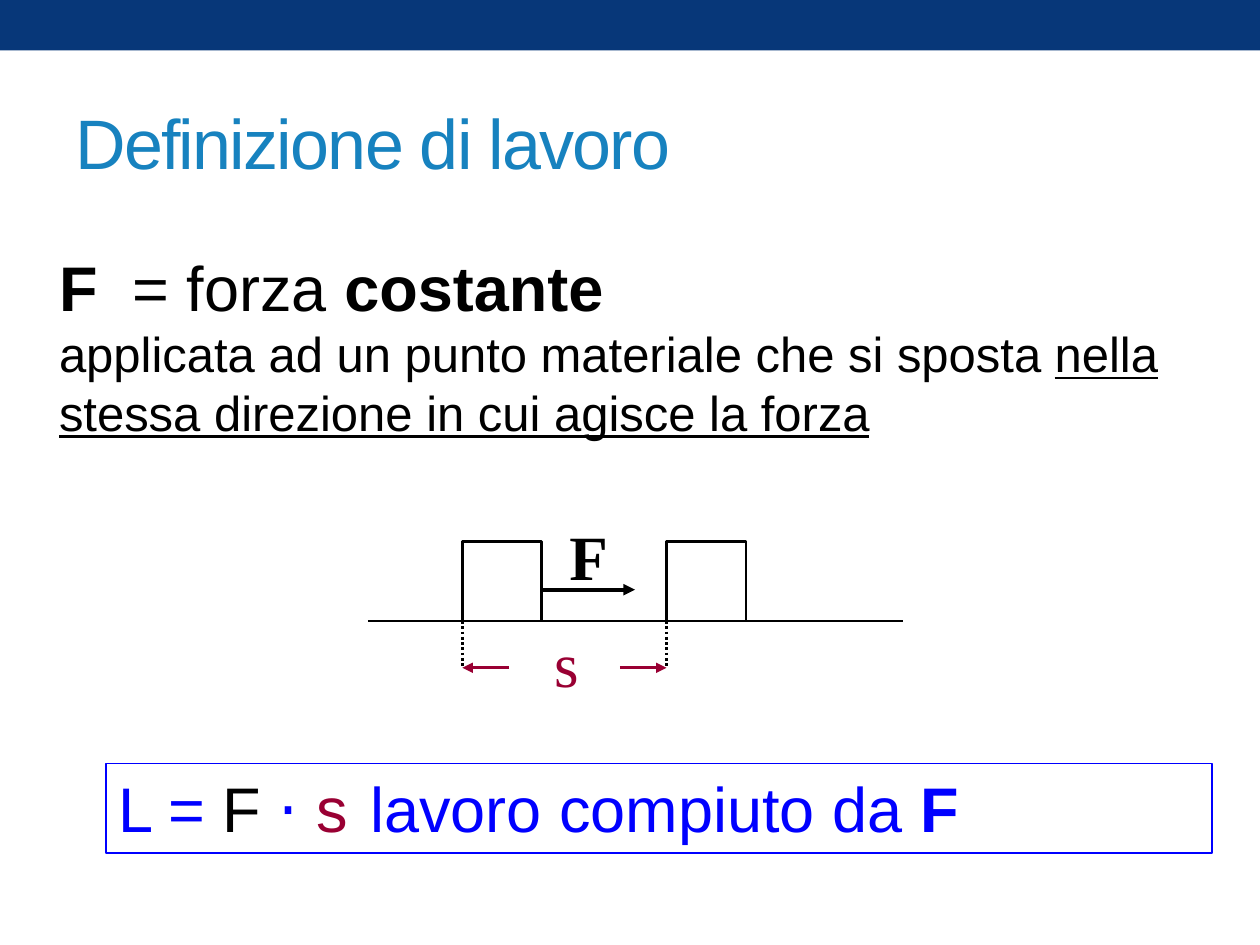
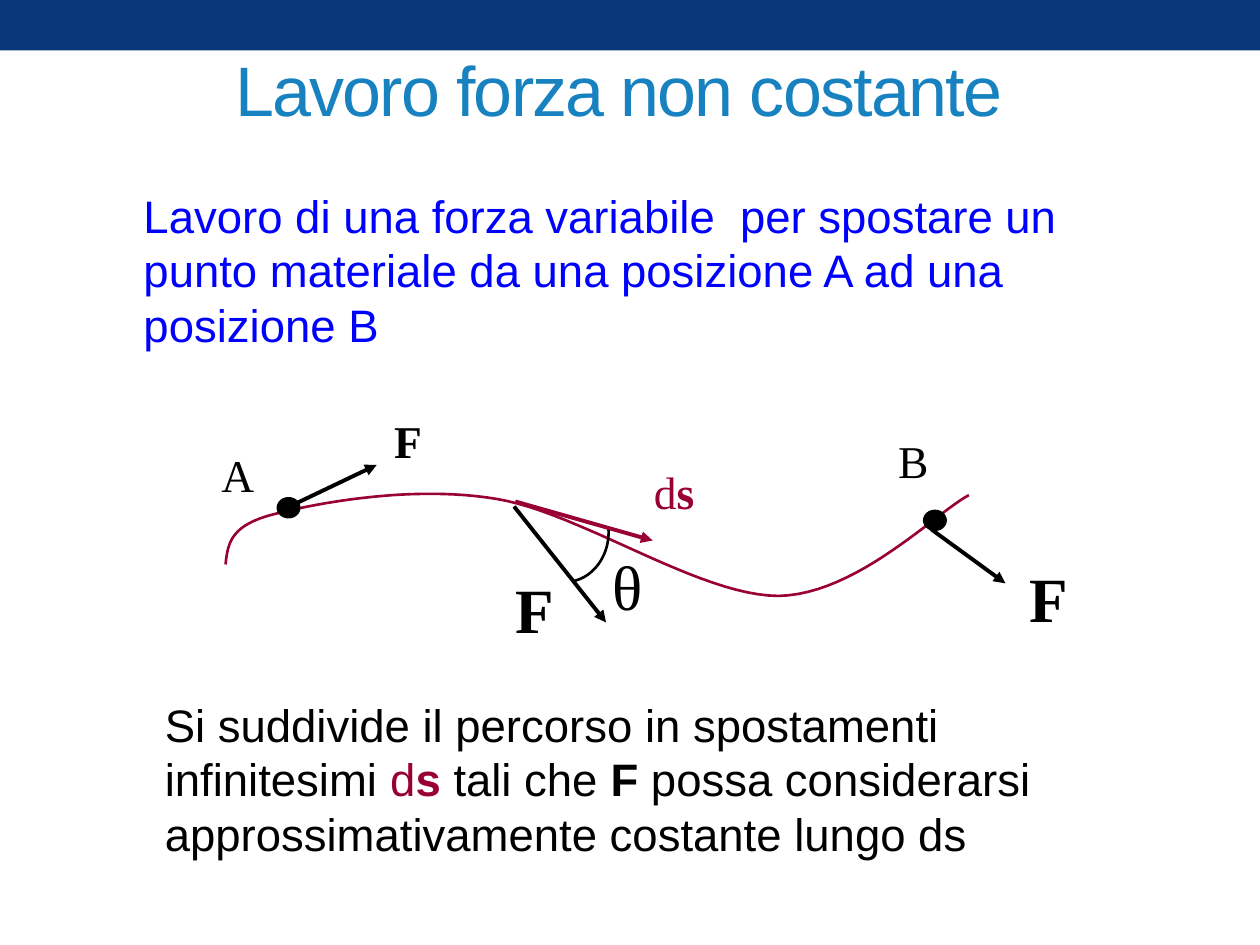
from dataclasses import dataclass
from typing import NamedTuple

from lxml import etree
from pptx import Presentation
from pptx.dml.color import RGBColor
from pptx.enum import dml, shapes, text
from pptx.oxml.ns import qn
from pptx.util import Emu, Pt

PX = 9144  # EMU in one px, 100 px to the inch


@dataclass(frozen=True)
class Theme:
    sans: str = "Arial"
    serif: str = "Times New Roman"
    white: str = "FFFFFF"
    black: str = "000000"
    band: str = "073779"
    title: str = "1782BF"
    blue: str = "0000FF"
    red: str = "990033"
    title_size: int = 40
    large: int = 36
    medium: int = 28
    small: int = 26
    hairline: float = 0.75
    thin: float = 1.5
    thick: float = 2.25


THEME = Theme()


class Point(NamedTuple):
    x: int
    y: int


class Frame(NamedTuple):
    left: int
    top: int
    width: int
    height: int


class Span(NamedTuple):
    words: str
    color: str = THEME.black
    bold: bool = False
    underline: bool = False


@dataclass(frozen=True)
class Line:
    spans: list[Span]
    size: int
    font: str = THEME.sans
    indent: int = 0
    tab: int = 0
    spacing: int = 0
    align: text.PP_ALIGN = text.PP_ALIGN.LEFT


class Label(NamedTuple):
    frame: Frame
    spans: list[Span]
    size: int


class Stroke(NamedTuple):
    start: Point
    end: Point
    color: str = THEME.black
    width: float = THEME.thin
    arrow: bool = False
    dotted: bool = False


# ---- Basic drawing ----

def emu(px: float) -> Emu:
    return Emu(round(px * PX))


def rgb(color: str) -> RGBColor:
    return RGBColor.from_string(color)


def fill_text(box, lines: list[Line], anchor=text.MSO_ANCHOR.TOP) -> None:
    frame = box.text_frame
    frame.word_wrap = True
    frame.vertical_anchor = anchor
    for index, line in enumerate(lines):
        para = frame.paragraphs[0] if index == 0 else frame.add_paragraph()
        para.alignment = line.align
        properties = para._p.get_or_add_pPr()
        properties.set("marL", str(emu(line.indent)))
        properties.set("indent", "0")
        if line.tab:
            stops = etree.SubElement(properties, qn("a:tabLst"))
            etree.SubElement(stops, qn("a:tab"), pos=str(emu(line.tab)), algn="l")
        for span in line.spans:
            run = para.add_run()
            run.text = span.words
            run.font.name = line.font
            run.font.size = Pt(line.size)
            run.font.bold = span.bold
            run.font.underline = span.underline
            run.font.color.rgb = rgb(span.color)
            if line.spacing:
                run._r.get_or_add_rPr().set("spc", str(line.spacing))


def add_text(page, frame: Frame, lines: list[Line], anchor=text.MSO_ANCHOR.TOP) -> None:
    box = page.shapes.add_textbox(*map(emu, frame))
    fill_text(box, lines, anchor)


def add_label(page, label: Label) -> None:
    add_text(page, label.frame, [Line(label.spans, label.size, THEME.serif)])


def style(shape, fill: str | None, outline: str | None, width: float = THEME.thin) -> None:
    shape.shadow.inherit = False
    if fill:
        shape.fill.solid()
        shape.fill.fore_color.rgb = rgb(fill)
    else:
        shape.fill.background()
    if outline:
        shape.line.color.rgb = rgb(outline)
        shape.line.width = Pt(width)
    else:
        shape.line.fill.background()


def add_shape(page, kind, frame: Frame, fill: str | None, outline: str | None,
              width: float = THEME.thin):
    shape = page.shapes.add_shape(kind, *map(emu, frame))
    style(shape, fill, outline, width)
    return shape


def add_stroke(page, stroke: Stroke) -> None:
    line = page.shapes.add_connector(
        shapes.MSO_CONNECTOR.STRAIGHT, *map(emu, (*stroke.start, *stroke.end)))
    line.line.color.rgb = rgb(stroke.color)
    line.line.width = Pt(stroke.width)
    if stroke.dotted:
        line.line.dash_style = dml.MSO_LINE.ROUND_DOT
    if stroke.arrow:
        etree.SubElement(line.line._get_or_add_ln(), qn("a:tailEnd"), type="triangle")
    etree.SubElement(line._element.spPr, qn("a:effectLst"))


def add_curve(page, points: list[Point], color: str, steps: int = 24) -> None:
    """Draw joined cubic curves: a start, then two handles and an end for each."""
    trace = []
    for first in range(0, len(points) - 1, 3):
        a, b, c, d = points[first:first + 4]
        for step in range(1, steps + 1):
            t = step / steps
            weights = ((1 - t) ** 3, 3 * t * (1 - t) ** 2, 3 * t * t * (1 - t), t ** 3)
            trace.append(tuple(
                round(PX * sum(w * p[axis] for w, p in zip(weights, (a, b, c, d))))
                for axis in (0, 1)))
    builder = page.shapes.build_freeform(emu(points[0].x), emu(points[0].y))
    builder.add_line_segments(trace, close=False)
    style(builder.convert_to_shape(), None, color)


# ---- What the slides share ----

def new_page(deck, title: str, frame: Frame, align=text.PP_ALIGN.LEFT):
    page = deck.slides.add_slide(deck.slide_layouts[6])
    add_shape(page, shapes.MSO_SHAPE.RECTANGLE, Frame(0, 0, 1000, 40), THEME.band, None)
    heading = Line([Span(title, THEME.title)], THEME.title_size, spacing=-100, align=align)
    add_text(page, frame, [heading], text.MSO_ANCHOR.MIDDLE)
    return page


# ---- Work of a constant force ----

def constant_force(deck) -> None:
    page = new_page(deck, "Definizione di lavoro", Frame(50, 58, 900, 108))
    add_text(page, Frame(27, 192, 935, 160), [
        Line([Span("F", bold=True), Span("  = forza "), Span("costante", bold=True)],
             THEME.large, indent=10),
        Line([Span("applicata ad un punto materiale che si sposta "),
              Span("nella stessa direzione in cui agisce la forza", underline=True)],
             THEME.medium, indent=10),
    ])

    # Formula
    formula = add_shape(page, shapes.MSO_SHAPE.RECTANGLE, Frame(84, 606, 878, 71),
                        THEME.white, THEME.blue, THEME.hairline)
    fill_text(formula, [Line([
        Span("L = ", THEME.blue), Span("F "), Span("⋅ ", THEME.blue),
        Span("s", THEME.red), Span("\tlavoro compiuto da ", THEME.blue),
        Span("F", THEME.blue, bold=True)], THEME.large, tab=251)])

    # Block before and after the displacement
    ground, side, reach = 493, 63, 37
    before, after = 367, 529
    for left in (before, after):
        add_shape(page, shapes.MSO_SHAPE.RECTANGLE,
                  Frame(left, ground - side, side, side), None, THEME.black)
        add_stroke(page, Stroke(Point(left, ground), Point(left, ground + reach), dotted=True))
    add_stroke(page, Stroke(Point(292, ground), Point(717, ground)))
    add_stroke(page, Stroke(Point(429, 468), Point(504, 468), width=THEME.thick, arrow=True))
    for edge, inner in ((before, before + reach), (after, after - reach)):
        add_stroke(page, Stroke(Point(inner, ground + reach), Point(edge, ground + reach),
                                THEME.red, arrow=True))
    add_label(page, Label(Frame(442, 406, 53, 58), [Span("F", bold=True)], THEME.large))
    add_label(page, Label(Frame(430, 491, 58, 69), [Span("s", THEME.red)], THEME.large))


# ---- Work of a variable force ----

def variable_force(deck) -> None:
    page = new_page(deck, "Lavoro forza non costante", Frame(41, 16, 900, 108),
                    text.PP_ALIGN.CENTER)
    add_text(page, Frame(94, 144, 852, 141), [Line([
        Span("Lavoro di una forza variabile  per spostare un punto materiale "
             "da una posizione A ad una posizione B", THEME.blue)], THEME.small, indent=10)])
    add_text(page, Frame(111, 548, 736, 141), [Line([
        Span("Si suddivide il percorso in spostamenti infinitesimi "),
        Span("d", THEME.red), Span("s ", THEME.red, bold=True), Span("tali che "),
        Span("F", bold=True),
        Span(" possa considerarsi approssimativamente costante lungo ds")],
        THEME.small, indent=10)])

    # Trajectory and angle
    trajectory = [Point(179, 448), Point(181, 432), Point(182, 417), Point(218, 408),
                  Point(253, 399), Point(328, 385), Point(394, 396),
                  Point(461, 407), Point(555, 473), Point(618, 473),
                  Point(680, 472), Point(744, 406), Point(769, 393)]
    angle = [Point(456, 461), Point(472, 457), Point(484, 440), Point(483, 420)]
    add_curve(page, trajectory, THEME.red)
    add_curve(page, angle, THEME.black)

    # Forces and displacement
    for start, end, color in (
        (Point(234, 400), Point(299, 369), THEME.black),
        (Point(408, 402), Point(481, 494), THEME.black),
        (Point(739, 420), Point(798, 463), THEME.black),
        (Point(409, 398), Point(518, 429), THEME.red),
    ):
        add_stroke(page, Stroke(start, end, color, THEME.thick, arrow=True))

    # End points A and B
    for corner in (Point(220, 395), Point(733, 405)):
        add_shape(page, shapes.MSO_SHAPE.OVAL, Frame(*corner, 18, 16),
                  THEME.black, THEME.black, THEME.hairline)

    # Labels
    force = [Span("F", bold=True)]
    for label in (
        Label(Frame(303, 323, 55, 62), force, THEME.small),
        Label(Frame(399, 448, 55, 62), force, THEME.large),
        Label(Frame(807, 439, 54, 72), force, THEME.large),
        Label(Frame(509, 363, 68, 75),
              [Span("d", THEME.red), Span("s", THEME.red, bold=True)], THEME.small),
        Label(Frame(166, 350, 54, 60), [Span("A")], THEME.small),
        Label(Frame(703, 339, 51, 74), [Span("B")], THEME.small),
        Label(Frame(476, 430, 58, 70), [Span("θ")], THEME.large),
    ):
        add_label(page, label)


def main() -> None:
    deck = Presentation()
    deck.slide_width, deck.slide_height = emu(1000), emu(750)
    constant_force(deck)
    variable_force(deck)
    deck.save("out.pptx")


if __name__ == "__main__":
    main()
